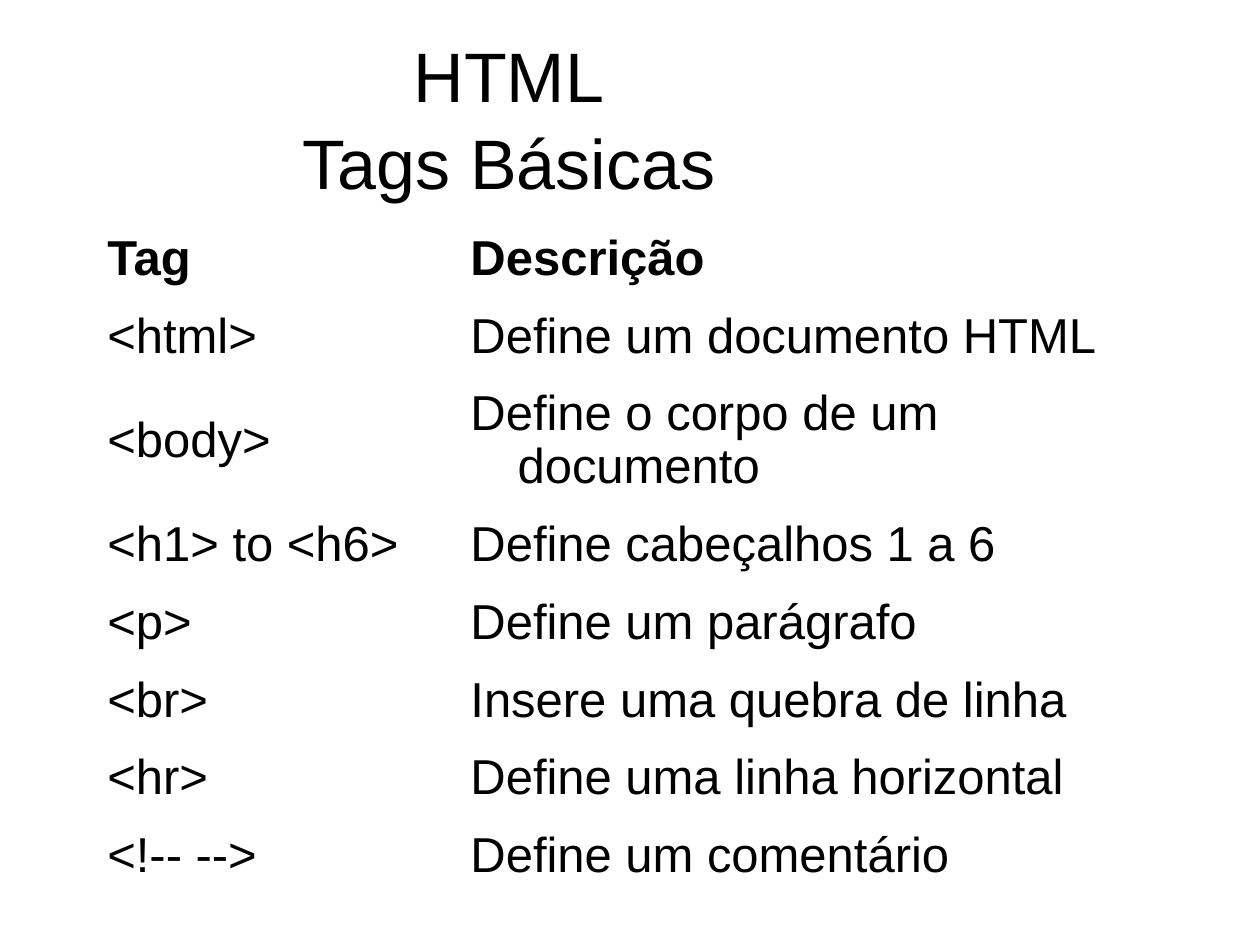
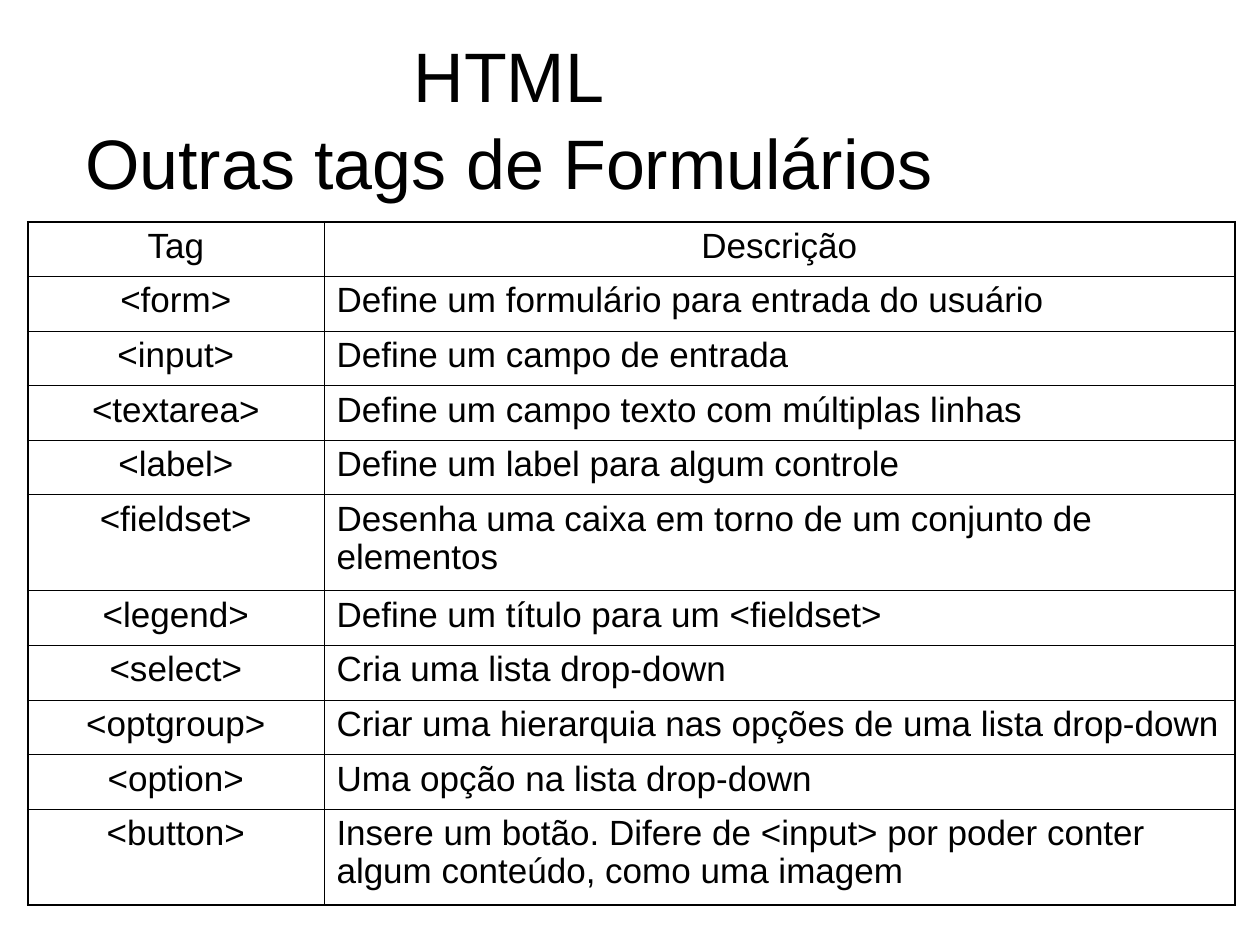
from lxml.etree import SubElement
from pptx import Presentation
from pptx.dml.color import RGBColor
from pptx.enum.text import MSO_ANCHOR, PP_ALIGN
from pptx.oxml.ns import qn
from pptx.util import Cm, Pt

FONT = "Arial"
INK = "000000"
TITLE_BOX = (1.27, 0.76, 17.98, 3.18)
PLAIN_TABLE = "{2D5ABB26-0587-4C30-8999-92F81FD0307C}"
OUTER_LINE, INNER_LINE = 1.08, 0.45

BASIC_TAGS = [
    ("Tag", "Descrição"),
    ("<html>", "Define um documento HTML"),
    ("<body>", "Define o corpo de um documento"),
    ("<h1> to <h6>", "Define cabeçalhos 1 a 6"),
    ("<p>", "Define um parágrafo"),
    ("<br>", "Insere uma quebra de linha"),
    ("<hr>", "Define uma linha horizontal"),
    ("<!-- -->", "Define um comentário"),
]
FORM_TAGS = [
    ("Tag", "Descrição"),
    ("<form>", "Define um formulário para entrada do usuário"),
    ("<input>", "Define um campo de entrada"),
    ("<textarea>", "Define um campo texto com múltiplas linhas"),
    ("<label>", "Define um label para algum controle"),
    ("<fieldset>", "Desenha uma caixa em torno de um conjunto de elementos"),
    ("<legend>", "Define um título para um <fieldset>"),
    ("<select>", "Cria uma lista drop-down"),
    ("<optgroup>", "Criar uma hierarquia nas opções de uma lista drop-down"),
    ("<option>", "Uma opção na lista drop-down"),
    ("<button>", "Insere um botão. Difere de <input> por poder conter "
                 "algum conteúdo, como uma imagem"),
]


def color(code):
    return RGBColor.from_string(code)


def write(frame, text, size, align=PP_ALIGN.LEFT, bold=False, spacing=0.97,
          before=0, hanging=0):
    para = frame.paragraphs[0]
    para.alignment = align
    para.line_spacing = spacing
    para.space_before = Pt(before)
    if hanging:
        properties = para._p.get_or_add_pPr()
        properties.set("marL", str(Cm(hanging)))
        properties.set("indent", str(-Cm(hanging)))
    for index, line in enumerate(text.split("\n")):
        if index:
            para.add_line_break()
        span = para.add_run()
        span.text = line
        span.font.name = FONT
        span.font.size = Pt(size)
        span.font.bold = bold
        span.font.color.rgb = color(INK)


def add_title(page, subject):
    box = page.shapes.add_textbox(*map(Cm, TITLE_BOX))
    frame = box.text_frame
    frame.word_wrap = True
    frame.vertical_anchor = MSO_ANCHOR.MIDDLE
    write(frame, f"HTML\n{subject}", 40, align=PP_ALIGN.CENTER, spacing=1.04)


def add_grid(page, rows, left, top, widths, heights):
    frame = page.shapes.add_table(len(rows), len(widths), Cm(left), Cm(top),
                                  Cm(sum(widths)), Cm(sum(heights)))
    table = frame.table
    table.first_row = table.horz_banding = False
    table._tbl.tblPr.find(qn("a:tableStyleId")).text = PLAIN_TABLE
    for column, width in zip(table.columns, widths):
        column.width = Cm(width)
    for row, height in zip(table.rows, heights):
        row.height = Cm(height)
    for row_index, texts in enumerate(rows):
        for column_index, text in enumerate(texts):
            cell = table.cell(row_index, column_index)
            cell.fill.background()
            yield row_index, column_index, cell, text


def set_borders(cell, edges):
    properties = cell._tc.get_or_add_tcPr()
    for index, (side, outer) in enumerate(edges.items()):
        width = Pt(OUTER_LINE if outer else INNER_LINE)
        line = SubElement(properties, qn(f"a:ln{side}"), w=str(width))
        fill = SubElement(line, qn("a:solidFill"))
        SubElement(fill, qn("a:srgbClr"), val=INK)
        properties.insert(index, line)


def add_basic_tags(page, left, top):
    heights = [2.62 if tag == "<body>" else 1.57 for tag, _ in BASIC_TAGS]
    for row, _, cell, text in add_grid(page, BASIC_TAGS, left, top, (7.32, 14.91), heights):
        cell.vertical_anchor = MSO_ANCHOR.MIDDLE
        write(cell.text_frame, text, 28, bold=row == 0, hanging=0.95)


def add_form_tags(page, left, top):
    tall_tags = ("<fieldset>", "<button>")
    heights = [1.94 if tag in tall_tags else 1.1 for tag, _ in FORM_TAGS]
    last_row = len(FORM_TAGS) - 1
    for row, column, cell, text in add_grid(page, FORM_TAGS, left, top, (5.97, 18.36), heights):
        centred = row == 0 or column == 0
        write(cell.text_frame, text, 20, before=5,
              align=PP_ALIGN.CENTER if centred else PP_ALIGN.LEFT)
        set_borders(cell, {"L": column == 0, "R": column == 1,
                           "T": row == 0, "B": row == last_row})


def main():
    deck = Presentation()
    deck.slide_width, deck.slide_height = Cm(25.4), Cm(19.05)
    blank = deck.slide_layouts[6]

    basic_page = deck.slides.add_slide(blank)
    add_title(basic_page, "Tags Básicas")
    add_basic_tags(basic_page, 1.91, 4.45)

    form_page = deck.slides.add_slide(blank)
    add_title(form_page, "Outras tags de Formulários")
    add_form_tags(form_page, 0.56, 4.47)

    deck.save("out.pptx")


if __name__ == "__main__":
    main()
